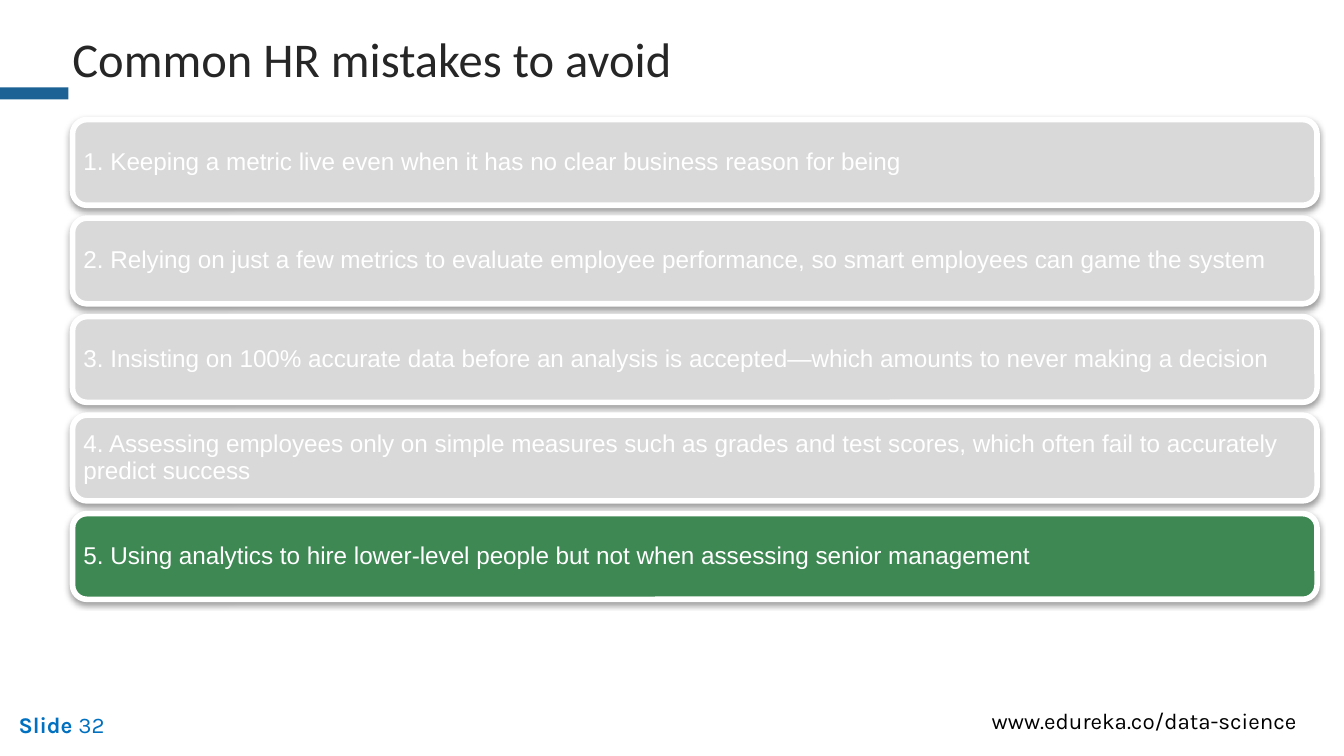
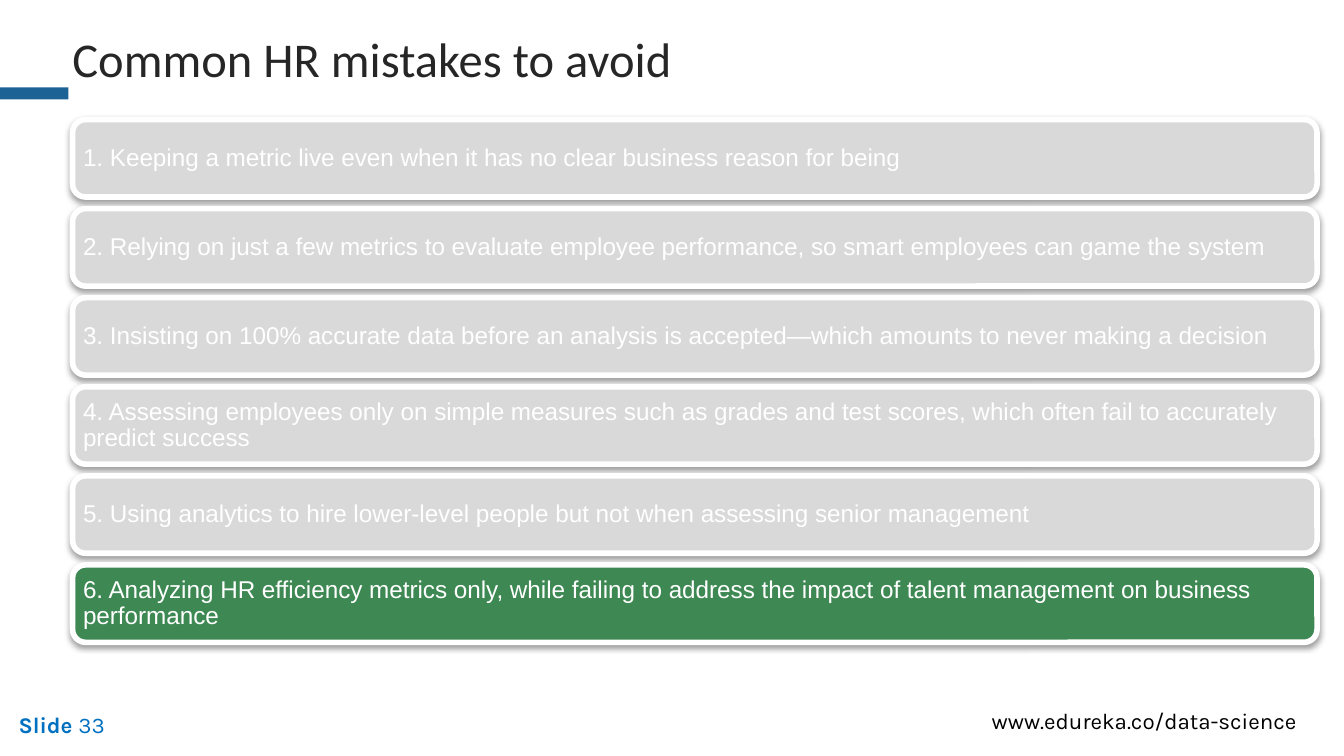
"""Build two slides that step through common HR mistakes."""
from lxml import etree
from pptx import Presentation, util as u
from pptx.dml.color import RGBColor
from pptx.enum import shapes, text
from pptx.oxml import ns

WIDTH = 10
HEIGHT = WIDTH * 9 / 16
BAR_SHARE = 0.87
COLOURS = {
    "accent": "1C6294",
    "number": "0070C0",
    "address": "000000",
    "title": "262626",
    "past": "D9D9D9",
    "current": "3E8853",
    "white": "FFFFFF",
    "shadow": "000000",
}
MISTAKES = [
    "Keeping a metric live even when it has no clear business reason for being",
    "Relying on just a few metrics to evaluate employee performance, so smart employees can game the system",
    "Insisting on 100% accurate data before an analysis is accepted—which amounts to never making a decision",
    "Assessing employees only on simple measures such as grades and test scores, which often fail to accurately predict success",
    "Using analytics to hire lower-level people but not when assessing senior management",
    "Analyzing HR efficiency metrics only, while failing to address the impact of talent management on business performance",
]


def colour(name):
    """Return the named palette colour."""
    return RGBColor.from_string(COLOURS[name])


def box(left, top, width, height):
    """Convert a box in inches to slide lengths."""
    return [u.Inches(length) for length in (left, top, width, height)]


def add_run(paragraph, words, font, size, ink, bold=False):
    """Add one styled run to a paragraph."""
    run = paragraph.add_run()
    run.text = words
    run.font.name = font
    run.font.size = u.Pt(size)
    run.font.bold = bold
    run.font.color.rgb = colour(ink)


def add_label(slide, place):
    """Add a wrapping text box and return its paragraph."""
    frame = slide.shapes.add_textbox(*box(*place)).text_frame
    frame.word_wrap = True
    return frame.paragraphs[0]


def add_block(slide, kind, place, fill):
    """Add a filled preset shape without line or shadow."""
    block = slide.shapes.add_shape(kind, *box(*place))
    block.fill.solid()
    block.fill.fore_color.rgb = colour(fill)
    block.line.fill.background()
    block.shadow.inherit = False
    return block


def add_soft_shadow(block):
    """Cast a soft shadow straight down."""
    effects = block.element.spPr.find(ns.qn("a:effectLst"))
    shadow = etree.SubElement(effects, ns.qn("a:outerShdw"), blurRad=str(u.Pt(3.1)),
                              dist=str(u.Pt(1.6)), dir="5400000", rotWithShape="0")
    tint = etree.SubElement(shadow, ns.qn("a:srgbClr"), val=COLOURS["shadow"])
    etree.SubElement(tint, ns.qn("a:alpha"), val="38000")


def add_mistake(slide, words, place, fill):
    """Add one rounded bar holding a mistake."""
    bar = add_block(slide, shapes.MSO_SHAPE.ROUNDED_RECTANGLE, place, fill)
    bar.line.color.rgb = colour("white")
    bar.line.width = u.Pt(3)
    add_soft_shadow(bar)
    frame = bar.text_frame
    frame.word_wrap = True
    frame.vertical_anchor = text.MSO_ANCHOR.MIDDLE
    frame.margin_left = frame.margin_right = u.Inches(0.05)
    frame.margin_top = frame.margin_bottom = u.Inches(0.05)
    paragraph = frame.paragraphs[0]
    paragraph.alignment = text.PP_ALIGN.LEFT
    paragraph.line_spacing = 0.9
    add_run(paragraph, words, "Arial", 13, "white")


def add_mistakes(slide, mistakes, top, bottom):
    """Stack the mistakes evenly and highlight the last one."""
    count = len(mistakes)
    pitch = (bottom - top) / (count - 1 + BAR_SHARE)
    for row, mistake in enumerate(mistakes):
        place = (0.54, top + row * pitch, 9.26, BAR_SHARE * pitch)
        fill = "current" if row == count - 1 else "past"
        add_mistake(slide, f"{row + 1}. {mistake}", place, fill)


def add_frame(slide, title, number):
    """Add the accent band, footers and title."""
    add_block(slide, shapes.MSO_SHAPE.RECTANGLE, (0, 0.65, 0.51, 0.09), "accent")
    footer = add_label(slide, (0.04, 5.24, 1.58, 0.3))
    add_run(footer, "Slide ", "Karla", 12, "number", bold=True)
    add_run(footer, str(number), "Karla", 12, "number")
    address = add_label(slide, (7.28, 5.21, 2.49, 0.3))
    add_run(address, "www.edureka.co/data-science", "Karla", 12, "address")
    heading = add_label(slide, (0.44, 0.17, 6.92, 0.48))
    add_run(heading, title, "Calibri", 26, "title")


def main():
    """Build and save the deck."""
    deck = Presentation()
    deck.slide_width, deck.slide_height = u.Inches(WIDTH), u.Inches(HEIGHT)
    for number, shown, bottom in [(32, 5, 4.46), (33, 6, 4.78)]:
        slide = deck.slides.add_slide(deck.slide_layouts[6])
        add_frame(slide, "Common HR mistakes to avoid", number)
        add_mistakes(slide, MISTAKES[:shown], 0.89, bottom)
    deck.save("out.pptx")


if __name__ == "__main__":
    main()
